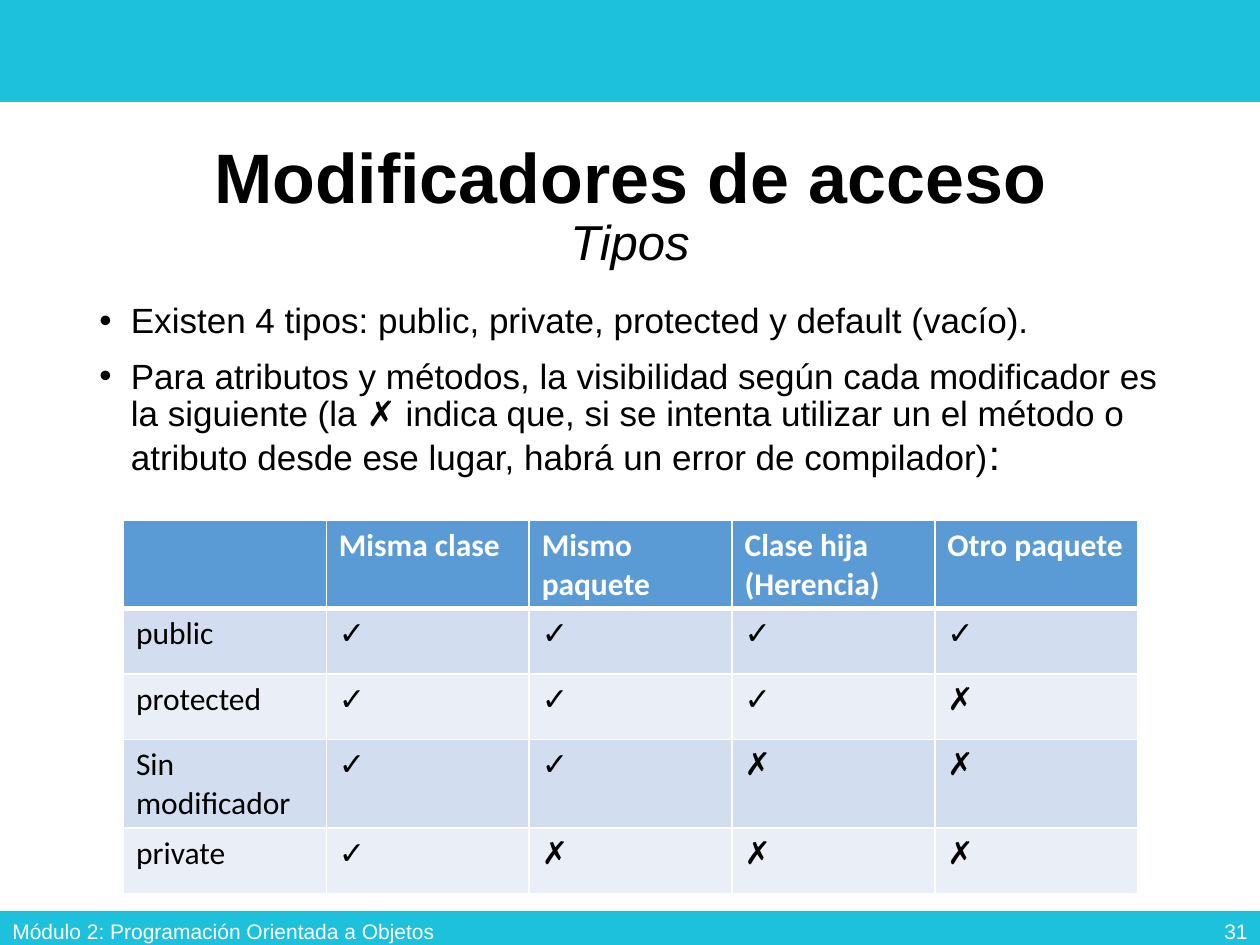
from pptx import Presentation
from pptx.dml.color import RGBColor
from pptx.enum.shapes import MSO_SHAPE
from pptx.enum.text import MSO_ANCHOR, MSO_AUTO_SIZE, PP_ALIGN
from pptx.oxml import parse_xml
from pptx.oxml.ns import nsdecls
from pptx.util import Inches, Pt

RECT = MSO_SHAPE.RECTANGLE
MID, TOP = MSO_ANCHOR.MIDDLE, MSO_ANCHOR.TOP
LEFT, MIDDLE, RIGHT = PP_ALIGN.LEFT, PP_ALIGN.CENTER, PP_ALIGN.RIGHT
NOFIT = MSO_AUTO_SIZE.NONE
WIDE, HIGH = 10, 7.5
HUES = {"band": "1DC1DC", "head": "5B9BD5", "odd": "D2DEEF",
        "even": "EAEFF7", "ink": "000000", "white": "FFFFFF"}

HEADS = ["", "Misma clase", "Mismo paquete", "Clase hija (Herencia)", "Otro paquete"]
ROWS = [("public", "✓✓✓✓"), ("protected", "✓✓✓✗"),
        ("Sin modificador", "✓✓✗✗"), ("private", "✓✗✗✗")]
POINTS = [
    "Existen 4 tipos: public, private, protected y default (vacío).",
    "Para atributos y métodos, la visibilidad según cada modificador es "
    "la siguiente (la ✗ indica que, si se intenta utilizar un el método o "
    "atributo desde ese lugar, habrá un error de compilador)",
]


def hue(name):
    return RGBColor.from_string(HUES[name])


def inches(box):
    return [Inches(n) for n in box]


def style(font, size, color="ink", face="Arial", bold=False):
    font.size, font.name, font.bold = Pt(size), face, bold
    font.color.rgb = hue(color)


def paint(fill, color):
    fill.solid()
    fill.fore_color.rgb = hue(color)


def add_band(slide, box):
    band = slide.shapes.add_shape(RECT, *inches(box))
    band.shadow.inherit = False
    paint(band.fill, "band")
    band.line.fill.background()


def add_frame(slide, box, anchor):
    frame = slide.shapes.add_textbox(*inches(box)).text_frame
    frame.word_wrap = True
    frame.vertical_anchor = anchor
    return frame


def add_title(slide, box):
    title = slide.shapes.title
    title.left, title.top, title.width, title.height = inches(box)
    frame = title.text_frame
    frame.auto_size, frame.vertical_anchor = NOFIT, MID
    para = frame.paragraphs[0]
    para.alignment, para.line_spacing = MIDDLE, 0.9
    style(para.font, 40, bold=True)
    para.add_run().text = "Modificadores de acceso"
    para.add_line_break()
    sub = para.add_run()
    sub.text = "Tipos"
    sub.font.size, sub.font.bold, sub.font.italic = Pt(28), False, True


def add_bullet(para):
    props = para._p.get_or_add_pPr()
    props.set("marL", str(Inches(0.25)))
    props.set("indent", str(-Inches(0.25)))
    for tag in ('buFont %s typeface="Arial"', 'buChar %s char="•"'):
        props.append(parse_xml("<a:" + tag % nsdecls("a") + "/>"))


def add_points(slide, box):
    frame = add_frame(slide, box, TOP)
    for i, text in enumerate(POINTS):
        para = frame.add_paragraph() if i else frame.paragraphs[0]
        para.line_spacing, para.space_before = 0.9, Pt(10)
        add_bullet(para)
        style(para.font, 20)
        para.add_run().text = text
    colon = para.add_run()
    colon.text = ":"
    colon.font.size = Pt(24)


def add_edges(cell, base):
    props = cell._tc.get_or_add_tcPr()
    for side, width in zip("LRTB", (1, 1, 1, base)):
        props.append(parse_xml(
            f'<a:ln{side} {nsdecls("a")} w="{Pt(width)}"><a:solidFill>'
            f'<a:srgbClr val="{HUES["white"]}"/></a:solidFill></a:ln{side}>'))


def add_grid(slide, box):
    cells = [HEADS] + [[name, *marks] for name, marks in ROWS]
    table = slide.shapes.add_table(len(cells), len(HEADS), *inches(box)).table
    for r, row in enumerate(cells):
        head = r == 0
        table.rows[r].height = Inches(0.58 if head else 0.52)
        color = "head" if head else "odd" if r % 2 else "even"
        for c, text in enumerate(row):
            cell = table.cell(r, c)
            add_edges(cell, 3 if head else 1)
            paint(cell.fill, color)
            cell.text = text
            style(cell.text_frame.paragraphs[0].font, 18,
                  "white" if head else "ink", "Calibri", head)


def add_foot(slide, top, high):
    parts = [("Módulo 2: Programación Orientada a Objetos", 0, 3.66, LEFT),
             ("31", 7.75, 2.25, RIGHT)]
    for text, left, wide, side in parts:
        para = add_frame(slide, (left, top, wide, high), MID).paragraphs[0]
        para.text, para.alignment = text, side
        style(para.font, 12, "white")


def main():
    deck = Presentation()
    deck.slide_width, deck.slide_height = Inches(WIDE), Inches(HIGH)
    slide = deck.slides.add_slide(deck.slide_layouts[5])
    edge = 0.69
    span = WIDE - 2 * edge
    # Bands at head and foot
    add_band(slide, (0, 0, WIDE, 0.81))
    add_band(slide, (0, 7.23, WIDE, 0.31))
    # Title and bullets
    add_title(slide, (edge, 0.98, span, 1.33))
    add_points(slide, (edge, 2.36, span, 4.76))
    # Footer and access table
    add_foot(slide, 7.19, 0.4)
    add_grid(slide, (0.98, 4.13, 8.05, 2.66))
    deck.save("out.pptx")


if __name__ == "__main__":
    main()
